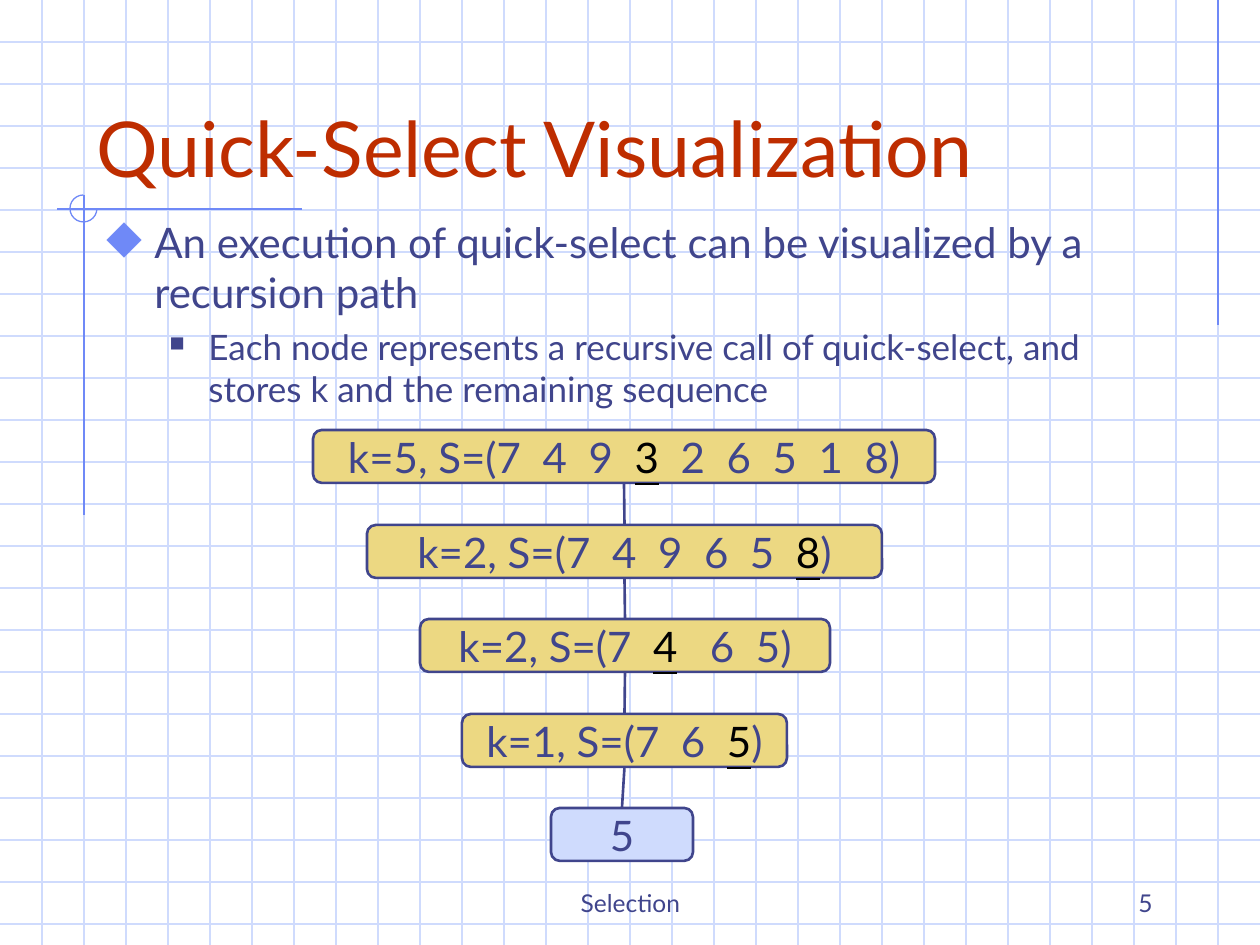
import lxml.etree
import pptx
import pptx.dml.color
import pptx.enum.shapes
import pptx.enum.text
import pptx.oxml
import pptx.oxml.ns
import pptx.util
from dataclasses import dataclass

ALIGN = pptx.enum.text.PP_ALIGN
ANCHOR = pptx.enum.text.MSO_ANCHOR
SHAPE = pptx.enum.shapes.MSO_SHAPE
EMU_PER_PX = 914400 / 126
WIDTH, HEIGHT, GRID_STEP = 1260, 945, 42
NODE_TOP, NODE_PITCH, NODE_HEIGHT = 430.5, 94.5, 53


@dataclass(frozen=True)
class Theme:
    """Colours, type sizes, line widths and gaps of the slide."""
    font: str = "Lato"
    title: str = "BE2D00"
    ink: str = "40458C"
    pivot: str = "000000"
    call: str = "ECD882"
    grid: str = "CFDBFD"
    accent: str = "6F89F7"
    title_size: int = 44
    body_size: int = 24
    detail_size: int = 20
    footer_size: int = 14
    thin: float = 0.75
    thick: float = 1.5
    digit_gap: float = 6.2
    wide_gap: float = 12.4


THEME = Theme()

CALLS = [
    (313, 622, 5, "749326518", 3, None),
    (367, 515, 2, "749658", 5, None),
    (420, 410, 2, "7465", 1, 2),
    (462, 325, 1, "765", 2, None),
]


def px(length):
    """Turn pixels into EMU."""
    return pptx.util.Emu(round(length * EMU_PER_PX))


def rgb(colour):
    """Turn a hex string into a colour."""
    return pptx.dml.color.RGBColor.from_string(colour)


def set_line(item, colour, width):
    """Colour the outline of a shape or connector."""
    item.line.color.rgb = rgb(colour)
    item.line.width = pptx.util.Pt(width)


def add_line(page, start, end, colour, width=THEME.thin):
    """Draw a straight line without a shadow."""
    line = page.shapes.add_connector(
        pptx.enum.shapes.MSO_CONNECTOR.STRAIGHT, *map(px, (*start, *end)))
    set_line(line, colour, width)
    properties = line._element.spPr
    lxml.etree.SubElement(properties, pptx.oxml.ns.qn("a:effectLst"))
    return line


def add_span(para, text, size, colour=THEME.ink, underline=False):
    """Append one run of text."""
    span = para.add_run()
    span.text = text
    span.font.name = THEME.font
    span.font.size = pptx.util.Pt(size)
    span.font.color.rgb = rgb(colour)
    if underline:
        span.font.underline = True
    return span


def add_gap(para, points):
    """Append a widened space between two digits."""
    span = add_span(para, " ", THEME.body_size)
    span.font._element.set("spc", str(round(points * 100)))


def add_box(page, left, top, width, height, anchor=ANCHOR.TOP):
    """Add a wrapping text box and return its frame."""
    frame = page.shapes.add_textbox(*map(px, (left, top, width, height))).text_frame
    frame.word_wrap = True
    frame.vertical_anchor = anchor
    return frame


def add_label(page, area, text, size, colour=THEME.ink, align=ALIGN.LEFT):
    """Add a one-line text that stands on the bottom of its box."""
    para = add_box(page, *area, ANCHOR.BOTTOM).paragraphs[0]
    para.alignment = align
    add_span(para, text, size, colour)


def add_bullet(para, char, colour, percent, margin, hang, level=0):
    """Give a paragraph a bullet with a hanging indent."""
    para.level = level
    properties = para._p.get_or_add_pPr()
    properties.set("marL", str(px(margin)))
    properties.set("indent", str(-px(hang)))
    namespace = pptx.oxml.ns.nsdecls("a")
    for xml in (
        f'<a:buClr {namespace}><a:srgbClr val="{colour}"/></a:buClr>',
        f'<a:buSzPct {namespace} val="{percent * 1000}"/>',
        f'<a:buChar {namespace} char="{char}"/>',
    ):
        properties.append(pptx.oxml.parse_xml(xml))


def add_node(page, row, left, width, fill):
    """Add one node of the recursion path."""
    top = int(NODE_TOP + row * NODE_PITCH)
    node = page.shapes.add_shape(
        SHAPE.ROUNDED_RECTANGLE, *map(px, (left, top, width, NODE_HEIGHT)))
    node.shadow.inherit = False
    node.adjustments[0] = 0.167
    node.fill.solid()
    node.fill.fore_color.rgb = rgb(fill)
    set_line(node, THEME.ink, THEME.thick)
    node.text_frame.word_wrap = False
    node.text_frame.vertical_anchor = ANCHOR.MIDDLE
    node.text_frame.paragraphs[0].alignment = ALIGN.CENTER
    return node


def add_call(para, rank, digits, pivot, wide):
    """Write a rank and a sequence, with the pivot underlined."""
    add_span(para, f"k={rank}, S=(", THEME.body_size)
    for index, digit in enumerate(digits):
        if index:
            add_gap(para, THEME.wide_gap if index == wide else THEME.digit_gap)
        chosen = index == pivot
        add_span(para, digit, THEME.body_size,
                 THEME.pivot if chosen else THEME.ink, chosen)
    add_span(para, ")", THEME.body_size)


def add_background(page):
    """Draw the squared paper and the accent lines."""
    for y in range(GRID_STEP, HEIGHT, GRID_STEP):
        add_line(page, (0, y), (WIDTH, y), THEME.grid)
    for x in range(GRID_STEP, WIDTH, GRID_STEP):
        add_line(page, (x, 0), (x, HEIGHT), THEME.grid)
    for start, end in (((1218, 0), (1218, 325)),
                       ((302, 209), (57, 209)),
                       ((84, 195), (84, 515))):
        add_line(page, start, end, THEME.accent)
    arc = page.shapes.add_shape(SHAPE.ARC, *map(px, (70, 195, 27, 27)))
    arc.shadow.inherit = False
    arc.adjustments[0] = 0
    arc.adjustments[1] = 162
    arc.fill.background()
    set_line(arc, THEME.accent, THEME.thin)


def add_body(page):
    """Add the two bulleted statements."""
    frame = add_box(page, 94, 210, 1081, 273)
    para = frame.paragraphs[0]
    add_bullet(para, "◆", THEME.accent, 110, 48, 48)
    add_span(para, "An execution of quick-select can be visualized by a recursion path",
             THEME.body_size)
    para = frame.add_paragraph()
    para.space_before = pptx.util.Pt(5)
    add_bullet(para, "■", THEME.ink, 60, 102, 39, 1)
    add_span(para, "Each node represents a recursive call of quick-select, "
             "and stores k and the remaining sequence", THEME.detail_size)


def add_recursion_path(page):
    """Add the nodes from the first call to the result and join them."""
    nodes = []
    for row, (left, width, *call) in enumerate(CALLS):
        node = add_node(page, row, left, width, THEME.call)
        add_call(node.text_frame.paragraphs[0], *call)
        nodes.append(node)
    result = add_node(page, len(CALLS), 551, 142, THEME.grid)
    add_span(result.text_frame.paragraphs[0], "5", THEME.body_size)
    nodes.append(result)
    for upper, lower in zip(nodes, nodes[1:]):
        link = add_line(page, (0, 0), (0, 0), THEME.ink, THEME.thick)
        link.begin_connect(upper, 2)
        link.end_connect(lower, 0)


def main():
    """Build and save the slide."""
    deck = pptx.Presentation()
    deck.slide_width, deck.slide_height = px(WIDTH), px(HEIGHT)
    page = deck.slides.add_slide(deck.slide_layouts[6])
    add_background(page)
    add_label(page, (84, 42, 1071, 157), "Quick-Select Visualization",
              THEME.title_size, THEME.title)
    add_body(page)
    add_recursion_path(page)
    add_label(page, (431, 861, 399, 63), "Selection", THEME.footer_size,
              align=ALIGN.CENTER)
    add_label(page, (903, 861, 262, 63), "5", THEME.footer_size, align=ALIGN.RIGHT)
    deck.save("out.pptx")


if __name__ == "__main__":
    main()
